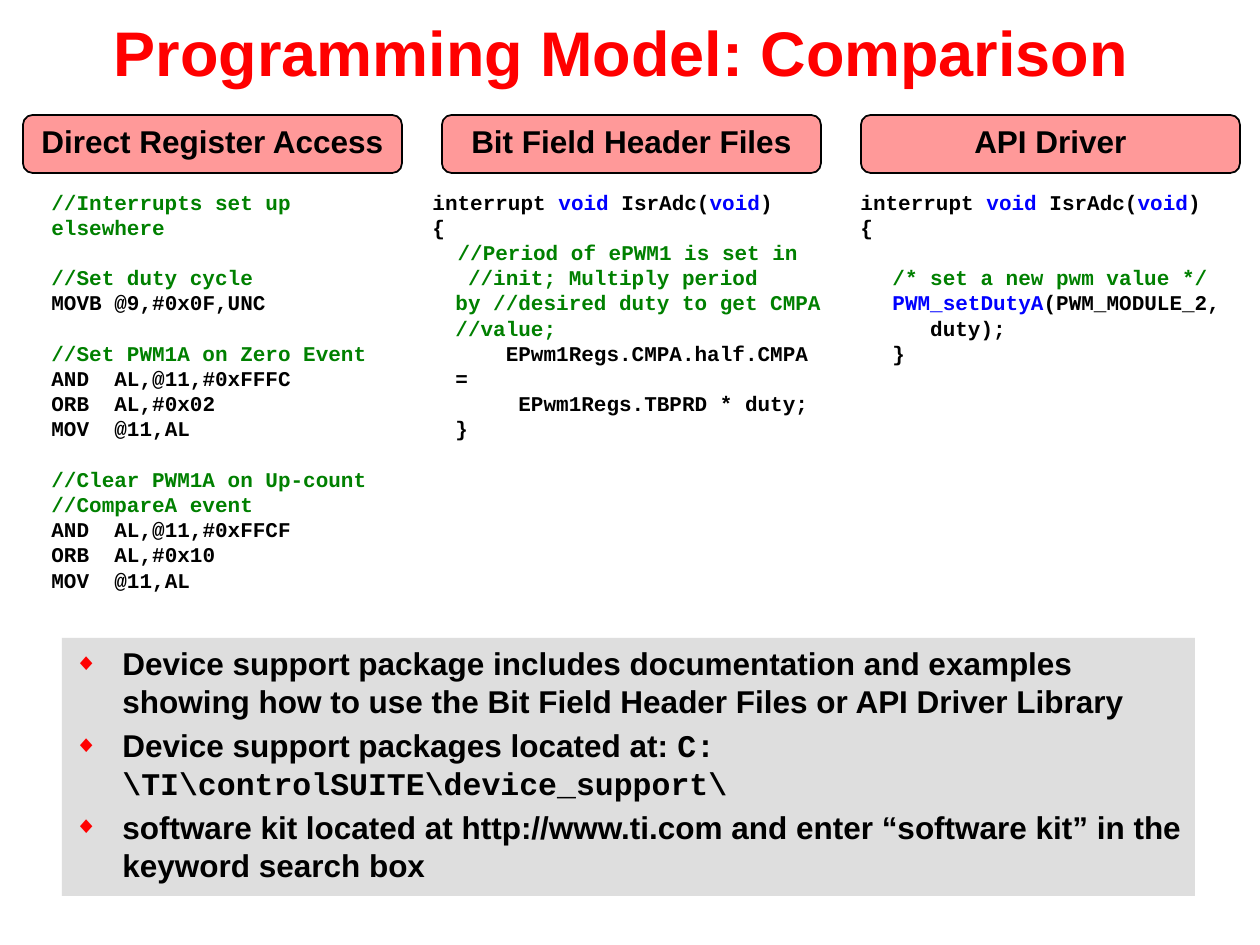
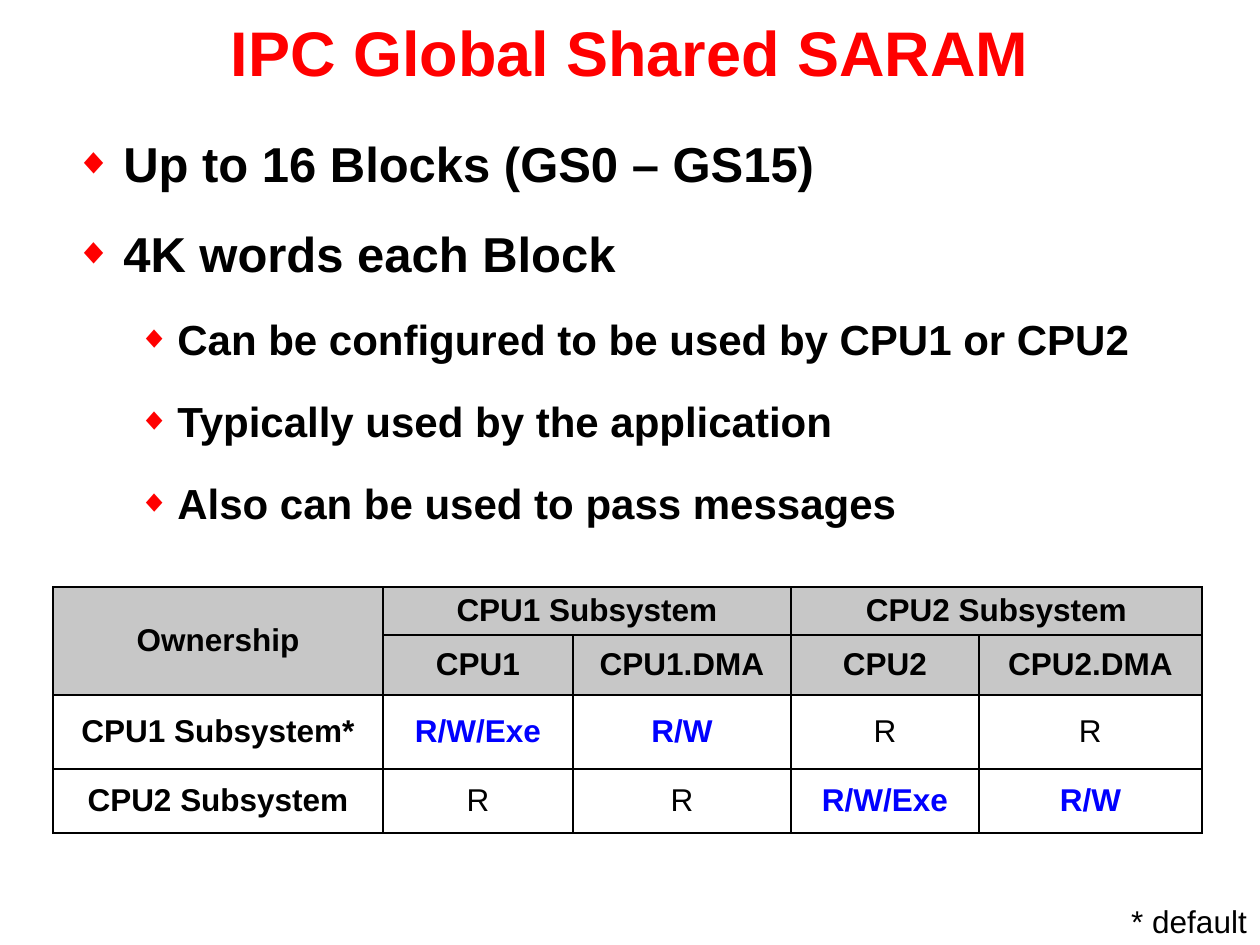
"""Build two slides: a programming model comparison and shared SARAM ownership."""
import lxml.etree
import pptx
import pptx.dml.color
import pptx.enum.shapes
import pptx.enum.text
import pptx.oxml.ns
import pptx.util

SCALE = 914400 / 126
COLORS = {
    "title": "FF0000", "ink": "000000", "comment": "008000", "keyword": "0000FF",
    "banner": "FF9999", "panel": "DEDEDE", "header": "C7C7C7", "paper": "FFFFFF",
}
SANS, MONO = "Arial", "Courier New"
CENTER = pptx.enum.text.PP_ALIGN.CENTER
MIDDLE = pptx.enum.text.MSO_ANCHOR.MIDDLE
TOP = pptx.enum.text.MSO_ANCHOR.TOP
LEADING = 1.2
CODE_SIZE = 12
OPERAND_TAB = 139

SIGNATURE = [("interrupt ", "ink"), ("void ", "keyword"), ("IsrAdc(", "ink"),
             ("void", "keyword"), (")", "ink")]

# Each code line: runs, left indent in px, blank line above
REGISTER_CODE = [
    ([("//Interrupts set up elsewhere", "comment")], 0, False),
    ([("//Set duty cycle", "comment")], 0, True),
    ([("MOVB\t@9,#0x0F,UNC", "ink")], 0, False),
    ([("//Set PWM1A on Zero Event", "comment")], 0, True),
    ([("AND\tAL,@11,#0xFFFC", "ink")], 0, False),
    ([("ORB\tAL,#0x02", "ink")], 0, False),
    ([("MOV\t@11,AL", "ink")], 0, False),
    ([("//Clear PWM1A on Up-count //CompareA event", "comment")], 0, True),
    ([("AND\tAL,@11,#0xFFCF", "ink")], 0, False),
    ([("ORB\tAL,#0x10", "ink")], 0, False),
    ([("MOV\t@11,AL", "ink")], 0, False),
]
BIT_FIELD_CODE = [
    (SIGNATURE, 0, False),
    ([("{", "ink")], 0, False),
    ([("  //Period of ePWM1 is set in", "comment")], 0, False),
    ([(" //init; Multiply period\nby //desired duty to get CMPA //value;", "comment")], 23, False),
    ([("    EPwm1Regs.CMPA.half.CMPA =\n     EPwm1Regs.TBPRD * duty;", "ink")], 23, False),
    ([("}", "ink")], 23, False),
]
DRIVER_CODE = [
    (SIGNATURE, 0, False),
    ([("{", "ink")], 0, False),
    ([("/* set a new pwm value */", "comment")], 32, True),
    ([("PWM_setDutyA", "keyword"), ("(PWM_MODULE_2,\n   duty);", "ink")], 32, False),
    ([("}", "ink")], 32, False),
]
MODELS = [
    ("Direct Register Access", REGISTER_CODE, (39, 183, 349, 420)),
    ("Bit Field Header Files", BIT_FIELD_CODE, (420, 183, 423, 247)),
    ("API Driver", DRIVER_CODE, (848, 183, 410, 190)),
]
SUPPORT_NOTES = [
    [("Device support package includes documentation and examples showing how to use "
      "the Bit Field Header Files or API Driver Library", SANS)],
    [("Device support packages located at: ", SANS),
     ("C:\\TI\\controlSUITE\\device_support\\", MONO)],
    [("software kit located at http://www.ti.com and enter “software kit” in "
      "the keyword search box", SANS)],
]
SARAM_POINTS = [
    (0, "Up to 16 Blocks (GS0 – GS15)"),
    (0, "4K words each Block"),
    (1, "Can be configured to be used by CPU1 or CPU2"),
    (1, "Typically used by the application"),
    (1, "Also can be used to pass messages"),
]
POINT_LEVELS = [(28, 48, 48), (24, 102, 39)]
OWNERSHIP = [
    ["Ownership", "CPU1 Subsystem", "", "CPU2 Subsystem", ""],
    ["", "CPU1", "CPU1.DMA", "CPU2", "CPU2.DMA"],
    ["CPU1 Subsystem*", "R/W/Exe", "R/W", "R", "R"],
    ["CPU2 Subsystem", "R", "R", "R/W/Exe", "R/W"],
]
OWNERSHIP_MERGES = [((0, 0), (1, 0)), ((0, 1), (0, 2)), ((0, 3), (0, 4))]
COLUMN_WIDTHS = [330, 190, 218, 188, 223]
ROW_HEIGHTS = [48, 60, 74, 64]


def px(length):
    return pptx.util.Emu(round(length * SCALE))


def rgb(name):
    return pptx.dml.color.RGBColor.from_string(COLORS[name])


def paint(part, name):
    part.fill.solid()
    part.fill.fore_color.rgb = rgb(name)


def add_run(paragraph, text, size, color="ink", font=SANS, bold=True):
    for index, line in enumerate(text.split("\n")):
        if index:
            paragraph.add_line_break()
        run = paragraph.add_run()
        run.text = line
        run.font.size = pptx.util.Pt(size)
        run.font.name = font
        run.font.bold = bold
        run.font.color.rgb = rgb(color)


def add_frame(slide, box, anchor=TOP, wrap=True):
    frame = slide.shapes.add_textbox(*map(px, box)).text_frame
    frame.word_wrap = wrap
    frame.vertical_anchor = anchor
    return frame


def next_paragraph(frame, index, size, space_before=0):
    paragraph = frame.add_paragraph() if index else frame.paragraphs[0]
    paragraph.line_spacing = pptx.util.Pt(size * LEADING)
    paragraph.space_before = pptx.util.Pt(space_before if index else 0)
    return paragraph


def add_child(parent, tag, **attributes):
    return lxml.etree.SubElement(parent, pptx.oxml.ns.qn(tag), attributes)


def set_bullet(paragraph, left, hanging):
    properties = paragraph._p.get_or_add_pPr()
    properties.set("marL", str(px(left)))
    properties.set("indent", str(-px(hanging)))
    add_child(add_child(properties, "a:buClr"), "a:srgbClr", val=COLORS["title"])
    add_child(properties, "a:buSzPct", val="75000")
    add_child(properties, "a:buFont", typeface=SANS)
    add_child(properties, "a:buChar", char="◆")


def add_titled_slide(deck, title):
    slide = deck.slides.add_slide(deck.slide_layouts[6])
    paragraph = add_frame(slide, (0, 0, 1260, 102), MIDDLE).paragraphs[0]
    paragraph.alignment = CENTER
    add_run(paragraph, title, 36, "title")
    return slide


def add_banner(slide, column, label):
    banner = slide.shapes.add_shape(
        pptx.enum.shapes.MSO_SHAPE.ROUNDED_RECTANGLE,
        px(23 + 419 * column), px(115), px(379), px(58))
    banner.shadow.inherit = False
    paint(banner, "banner")
    banner.line.color.rgb = rgb("ink")
    banner.line.width = pptx.util.Pt(1)
    banner.text_frame.vertical_anchor = MIDDLE
    paragraph = banner.text_frame.paragraphs[0]
    paragraph.alignment = CENTER
    paragraph.line_spacing = 0.8
    add_run(paragraph, label, 18)


def add_code(slide, lines, box):
    frame = add_frame(slide, box)
    for index, (runs, indent, gap) in enumerate(lines):
        paragraph = next_paragraph(frame, index, CODE_SIZE, CODE_SIZE * LEADING * gap)
        properties = paragraph._p.get_or_add_pPr()
        properties.set("marL", str(px(indent)))
        properties.set("indent", "0")
        if "\t" in runs[0][0]:
            tabs = add_child(properties, "a:tabLst")
            add_child(tabs, "a:tab", pos=str(px(OPERAND_TAB)), algn="l")
        for text, color in runs:
            add_run(paragraph, text, CODE_SIZE, color, MONO)


def add_support_notes(slide):
    panel = slide.shapes.add_shape(
        pptx.enum.shapes.MSO_SHAPE.RECTANGLE, px(62), px(638), px(1133), px(258))
    panel.shadow.inherit = False
    paint(panel, "panel")
    panel.line.fill.background()
    frame = panel.text_frame
    frame.word_wrap = True
    frame.vertical_anchor = TOP
    for index, runs in enumerate(SUPPORT_NOTES):
        paragraph = next_paragraph(frame, index, 18, 3.6)
        paragraph.alignment = pptx.enum.text.PP_ALIGN.LEFT
        set_bullet(paragraph, 48, 48)
        for text, font in runs:
            add_run(paragraph, text, 18, font=font)


def add_saram_points(slide):
    frame = add_frame(slide, (63, 127, 1134, 432))
    for index, (level, text) in enumerate(SARAM_POINTS):
        size, left, hanging = POINT_LEVELS[level]
        paragraph = next_paragraph(frame, index, size, 18)
        paragraph.level = level
        set_bullet(paragraph, left, hanging)
        add_run(paragraph, text, size)


def border_cell(cell):
    properties = cell._tc.get_or_add_tcPr()
    for index, side in enumerate(("a:lnL", "a:lnR", "a:lnT", "a:lnB")):
        edge = add_child(properties, side, w="12700")
        add_child(add_child(edge, "a:solidFill"), "a:srgbClr", val=COLORS["ink"])
        properties.insert(index, edge)


def add_ownership(slide):
    table = slide.shapes.add_table(
        len(ROW_HEIGHTS), len(COLUMN_WIDTHS), px(53), px(587),
        px(sum(COLUMN_WIDTHS)), px(sum(ROW_HEIGHTS))).table
    for column, width in zip(table.columns, COLUMN_WIDTHS):
        column.width = px(width)
    for row, height in zip(table.rows, ROW_HEIGHTS):
        row.height = px(height)
    for start, end in OWNERSHIP_MERGES:
        table.cell(*start).merge(table.cell(*end))
    for r, labels in enumerate(OWNERSHIP):
        for c, label in enumerate(labels):
            cell = table.cell(r, c)
            paint(cell, "header" if r < 2 else "paper")
            border_cell(cell)
            cell.vertical_anchor = MIDDLE
            cell.margin_top = cell.margin_bottom = px(3)
            if label:
                paragraph = cell.text_frame.paragraphs[0]
                paragraph.alignment = CENTER
                color = "keyword" if label.startswith("R/W") else "ink"
                add_run(paragraph, label, 18, color, bold=label != "R")


def main():
    deck = pptx.Presentation()
    deck.slide_width, deck.slide_height = px(1260), px(945)

    comparison = add_titled_slide(deck, "Programming Model: Comparison ")
    add_support_notes(comparison)
    for column, (label, code, box) in enumerate(MODELS):
        add_code(comparison, code, box)
        add_banner(comparison, column, label)

    saram = add_titled_slide(deck, "IPC Global Shared SARAM")
    add_saram_points(saram)
    add_ownership(saram)
    footnote = add_frame(saram, (1118, 903, 142, 42), wrap=False).paragraphs[0]
    footnote.alignment = CENTER
    footnote.line_spacing = 0.8
    add_run(footnote, "* default", 18, bold=False)

    deck.save("out.pptx")


if __name__ == "__main__":
    main()
